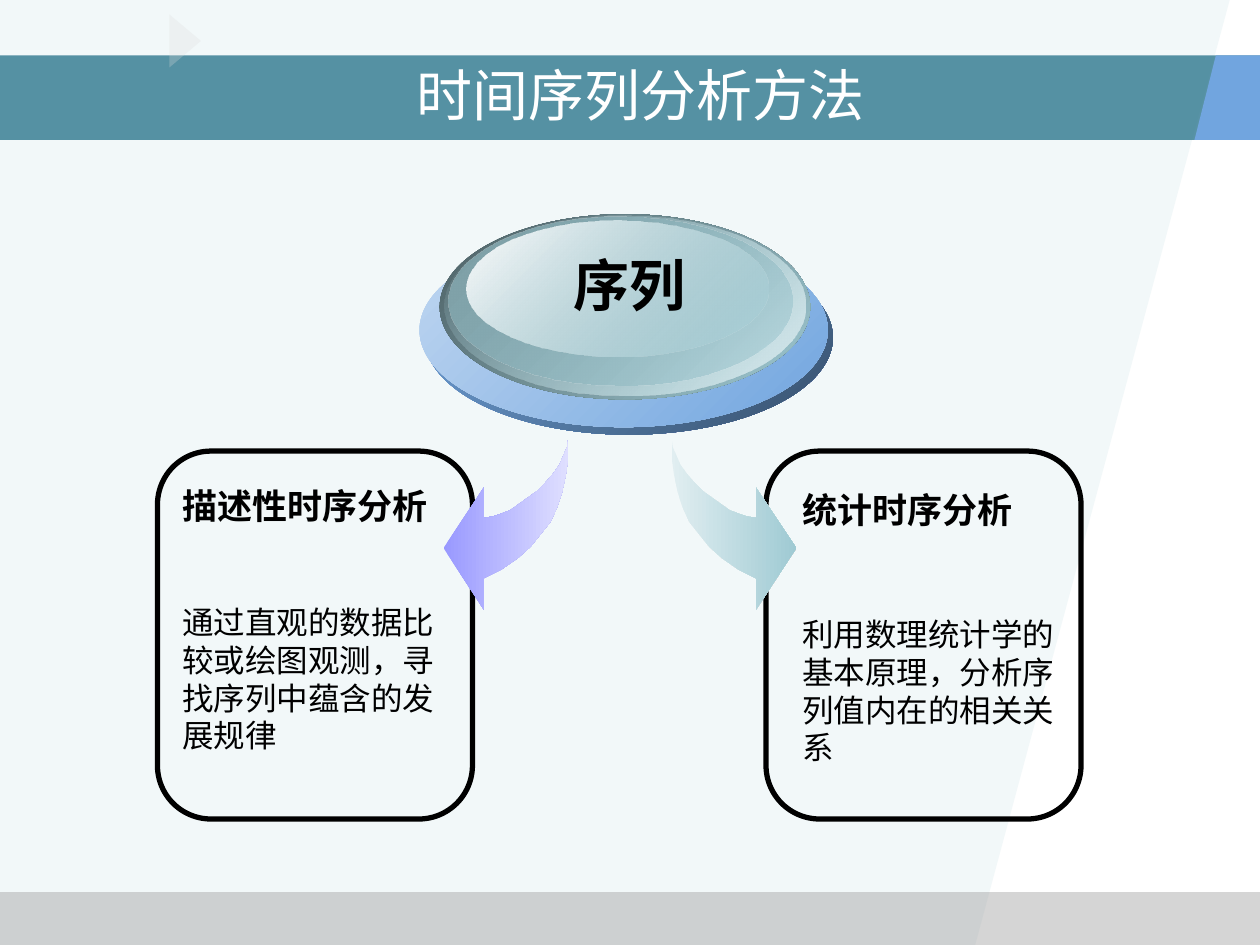
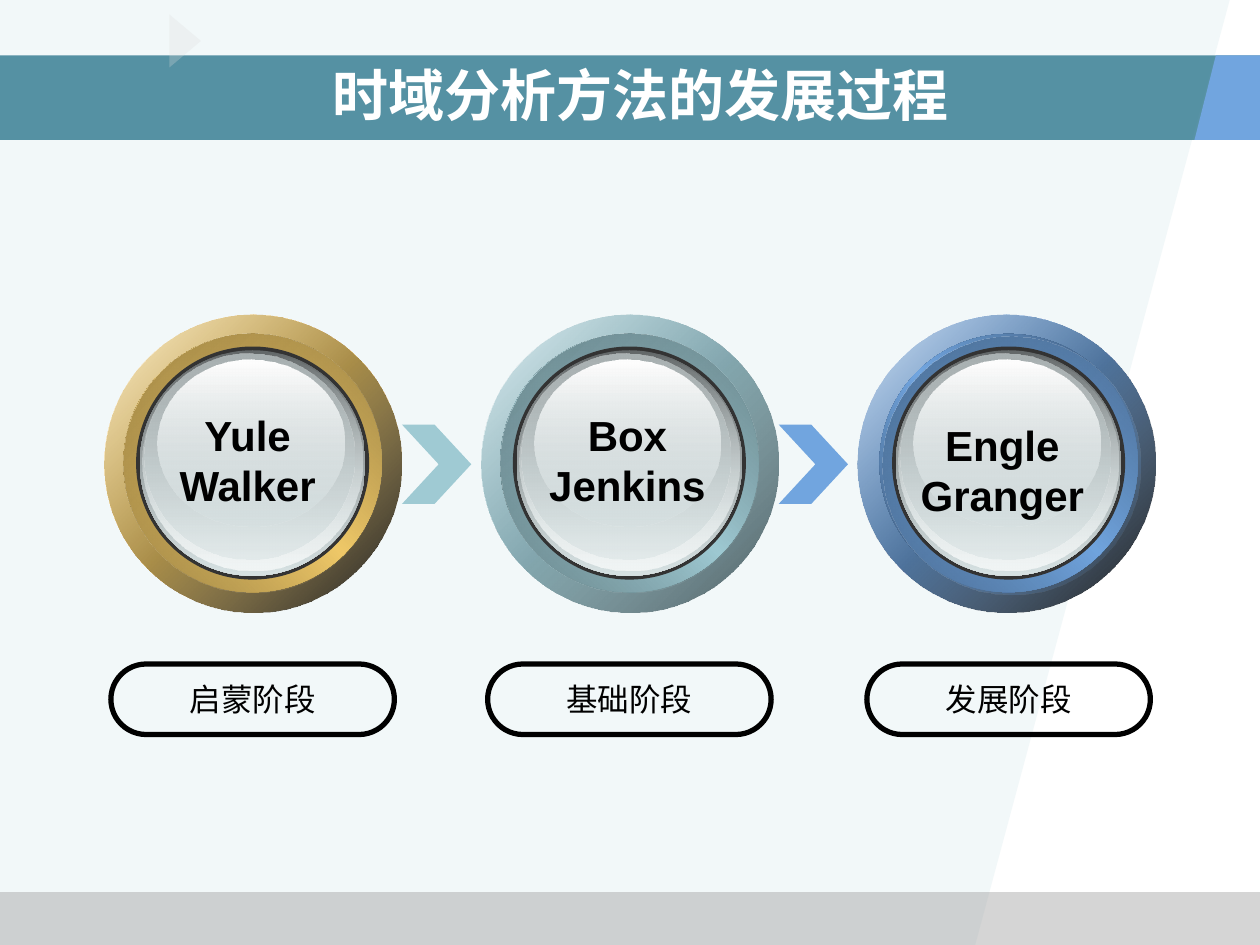
from dataclasses import dataclass
from typing import NamedTuple, Optional

from lxml import etree
from pptx import Presentation
from pptx import util as u
from pptx.dml.color import RGBColor
from pptx.enum import shapes, text
from pptx.oxml.ns import qn

TEAL, BLUE, GOLD = "9FCAD3", "71A5DF", "F1CA69"
BLACK, WHITE, GLASS = "000000", "FFFFFF", "D6E1E2"
OVAL = shapes.MSO_SHAPE.OVAL
CENTER, LEFT = text.PP_ALIGN.CENTER, text.PP_ALIGN.LEFT


class Box(NamedTuple):
    x: float
    y: float
    w: float
    h: float

    def emu(self) -> list:
        return [u.Inches(v) for v in self]


class Stop(NamedTuple):
    color: str
    opacity: int = 100


class Layer(NamedTuple):
    box: Box
    stops: tuple
    angle: int = 45


class Line(NamedTuple):
    text: str
    size: int
    bold: bool = False
    before: float = 0


@dataclass
class Stage:
    names: tuple
    label: Box
    period: str
    color: str
    ring_edge: str
    ring_shade: str
    rim_end: Stop = Stop(BLACK, 90)
    shift: float = 0
    shade_offset: float = 0


def rgb(value: str) -> RGBColor:
    return RGBColor.from_string(value)


def add_alpha(color_element, opacity: int) -> None:
    if opacity < 100:
        etree.SubElement(color_element, qn("a:alpha"), val=str(opacity * 1000))


def paint(sp, stops: tuple, angle: int = 0) -> None:
    """Fill with one colour or with an even gradient; no line, no shadow."""
    sp.shadow.inherit = False
    sp.line.fill.background()
    if len(stops) == 1:
        sp.fill.solid()
        sp.fill.fore_color.rgb = rgb(stops[0].color)
        add_alpha(sp._element.spPr.find(".//" + qn("a:srgbClr")), stops[0].opacity)
        return
    sp.fill.gradient()
    sp.fill.gradient_angle = -angle % 360
    stop_list = sp._element.spPr.find(".//" + qn("a:gsLst"))
    for old in list(stop_list):
        stop_list.remove(old)
    for i, stop in enumerate(stops):
        pos = 100000 * i // (len(stops) - 1)
        gs = etree.SubElement(stop_list, qn("a:gs"), pos=str(pos))
        add_alpha(etree.SubElement(gs, qn("a:srgbClr"), val=stop.color), stop.opacity)


def add_filled(s, kind, box: Box, stops: tuple, angle: int = 0):
    sp = s.shapes.add_shape(kind, *box.emu())
    paint(sp, stops, angle)
    return sp


def add_polygon(s, points: list, stops: tuple, angle: int = 0) -> None:
    start, *rest = [(u.Inches(x), u.Inches(y)) for x, y in points]
    builder = s.shapes.build_freeform(*start)
    builder.add_line_segments(rest, close=True)
    paint(builder.convert_to_shape(), stops, angle)


def add_frame(s, box: Box, corner: float):
    sp = s.shapes.add_shape(shapes.MSO_SHAPE.ROUNDED_RECTANGLE, *box.emu())
    sp.adjustments[0] = corner
    sp.shadow.inherit = False
    sp.fill.background()
    sp.line.color.rgb = rgb(BLACK)
    sp.line.width = u.Pt(3)
    return sp


def write(sp, lines: list, align=CENTER, color: str = BLACK, font: str = "Arial",
          wrap: bool = False, middle: bool = False) -> None:
    tf = sp.text_frame
    tf.word_wrap = wrap
    tf.vertical_anchor = text.MSO_ANCHOR.MIDDLE if middle else text.MSO_ANCHOR.TOP
    for i, line in enumerate(lines):
        p = tf.add_paragraph() if i else tf.paragraphs[0]
        p.text = line.text
        p.alignment = align
        if line.before:
            p.space_before = u.Pt(line.before)
        p.font.name, p.font.size, p.font.bold = font, u.Pt(line.size), line.bold
        p.font.color.rgb = rgb(color)


def add_text(s, box: Box, lines: list, **style) -> None:
    write(s.shapes.add_textbox(*box.emu()), lines, **style)


def new_slide(prs, title: str, bold: bool):
    s = prs.slides.add_slide(prs.slide_layouts[6])
    rect = shapes.MSO_SHAPE.RECTANGLE
    # Slanted panel, footer and title band
    add_polygon(s, [(0, 0), (9.76, 0), (7.74, 7.5), (0, 7.5)], (Stop(TEAL, 13),))
    add_filled(s, rect, Box(0, 7.08, 10, 0.42), (Stop("969696", 40),))
    add_filled(s, rect, Box(0, 0.44, 10, 0.67), (Stop("26728A", 77),))
    add_polygon(s, [(9.65, 0.44), (9.48, 1.11), (10, 1.11), (10, 0.44)], (Stop(BLUE),))
    marker = add_filled(s, shapes.MSO_SHAPE.ISOSCELES_TRIANGLE,
                        Box(1.26, 0.2, 0.42, 0.25), (Stop("DDDDDD", 27),))
    marker.rotation = 90
    add_text(s, Box(0.5, 0.5, 9.17, 0.5), [Line(title, 32, bold)],
             color=WHITE, wrap=True, middle=True)
    return s


# Methods slide
BUTTON = [
    Layer(Box(3.37, 1.91, 3.24, 1.54), (Stop(BLUE), Stop("37506C"))),
    Layer(Box(3.33, 1.85, 3.24, 1.54), (Stop("C0D7F1"), Stop(BLUE))),
    Layer(Box(3.49, 1.7, 2.94, 1.47), (Stop("4A5D62"), Stop(TEAL))),
    Layer(Box(3.53, 1.71, 2.86, 1.43), (Stop(TEAL, 0), Stop("DDEDF0"))),
    Layer(Box(3.56, 1.72, 2.73, 1.34), (Stop("7EA0A7"), Stop(TEAL, 48))),
    Layer(Box(3.7, 1.75, 2.4, 1.08), (Stop(WHITE), Stop(TEAL, 38))),
]
LEFT_ARROW = [
    (4.51, 3.48), (4.51, 3.63), (4.49, 3.77), (4.46, 3.91), (4.42, 4.03), (4.37, 4.14),
    (4.29, 4.24), (4.21, 4.34), (4.11, 4.43), (3.98, 4.52), (3.84, 4.59), (3.84, 4.84),
    (3.52, 4.35), (3.84, 3.87), (3.84, 4.11), (3.91, 4.1), (3.97, 4.08), (4.05, 4.05),
    (4.12, 4), (4.19, 3.95), (4.26, 3.9), (4.33, 3.83), (4.39, 3.76), (4.44, 3.69),
    (4.47, 3.62), (4.5, 3.55),
]
MIRROR_AXIS = 4.92


def methods_slide(prs) -> None:
    s = new_slide(prs, "时间序列分析方法", False)
    for x in (6.08, 1.25):
        add_frame(s, Box(x, 3.58, 2.5, 2.92), 0.17)
    add_text(s, Box(1.35, 3.8, 2.23, 2.24),
             [Line("描述性时序分析", 20, True),
              Line("通过直观的数据比较或绘图观测，寻找序列中蕴含的发展规律", 18, before=43.4)],
             align=LEFT, wrap=True)
    # Arrows mirror each other
    right_arrow = [(2 * MIRROR_AXIS - x, y) for x, y in LEFT_ARROW]
    add_polygon(s, LEFT_ARROW, (Stop("9999FF"), Stop("DFDFFF")))
    add_polygon(s, right_arrow, (Stop("E1EEF1"), Stop(TEAL)))
    # Layered button
    for layer in BUTTON:
        add_filled(s, OVAL, *layer)
    add_text(s, Box(4.45, 1.94, 1.09, 0.64), [Line("序列", 32, True)])
    add_text(s, Box(6.27, 3.83, 2.23, 2.3),
             [Line("统计时序分析", 20, True),
              Line("利用数理统计学的基本原理，分析序列值内在的相关关系", 18, before=48.2)],
             align=LEFT, wrap=True)


# History slide
STAGES = [
    Stage(("Yule", "Walker"), Box(1.32, 3.2, 1.29, 0.9), "启蒙阶段",
          GOLD, "826D39", "998043"),
    Stage(("Box", "Jenkins"), Box(4.26, 3.2, 1.44, 0.9), "基础阶段",
          TEAL, "566D72", "658086", rim_end=Stop("4A5D62")),
    Stage(("Engle", "Granger"), Box(7.16, 3.28, 1.59, 0.9), "发展阶段",
          BLUE, "3D5979", "48698E", shift=0.02, shade_offset=0.02),
]
FIRST_X, TOP, PITCH, RIM = 0.83, 2.5, 2.99, 2.36
# Offsets are measured from the corner of the rim
GLASS_LAYERS = [
    Layer(Box(0.28, 0.28, 1.79, 1.79), (Stop("636869"), Stop(GLASS)), 90),
    Layer(Box(0.3, 0.29, 1.75, 1.74), (Stop(GLASS, 0), Stop("F1F5F5")), 90),
    Layer(Box(0.32, 0.31, 1.66, 1.63), (Stop("AAB2B3"), Stop(GLASS, 48)), 90),
    Layer(Box(0.42, 0.35, 1.48, 1.33), (Stop(WHITE), Stop(GLASS, 38)), 90),
]


def stage_layers(stage: Stage) -> list:
    base = Stop(stage.color)
    rim, ring = Box(0, 0, RIM, RIM), Box(0.15, 0.15, 2.05, 2.05)
    shade = Box(ring.x + stage.shade_offset, ring.y + stage.shade_offset, ring.w, ring.h)
    edge = Stop(stage.ring_edge)
    outer = [Layer(rim, (Stop(WHITE), base, Stop(WHITE))),
             Layer(rim, (Stop(stage.color, 32), stage.rim_end))]
    inner = [Layer(ring, (edge, base, edge), 315),
             Layer(shade, (Stop(stage.ring_shade), Stop(stage.color, 0))),
             Layer(Box(0.25, 0.25, 1.85, 1.85), (Stop("333333"),))]
    shifted = [layer._replace(box=layer.box._replace(x=layer.box.x + stage.shift))
               for layer in inner + GLASS_LAYERS]
    return outer + shifted


def add_stage(s, stage: Stage, x: float, arrow: Optional[str]) -> None:
    if arrow:
        chevron = add_filled(s, shapes.MSO_SHAPE.CHEVRON,
                             Box(x + RIM, 3.37, 0.55, 0.63), (Stop(arrow),))
        chevron.adjustments[0] = 0.53
    for layer in stage_layers(stage):
        box = layer.box
        add_filled(s, OVAL, Box(x + box.x, TOP + box.y, box.w, box.h),
                   layer.stops, layer.angle)
    pill = add_frame(s, Box(x + 0.05 + stage.shift, 5.27, 2.25, 0.56), 0.5)
    write(pill, [Line(stage.period, 18)], font="DejaVu Sans", middle=True)
    add_text(s, stage.label, [Line(name, 24, True) for name in stage.names])


def history_slide(prs) -> None:
    s = new_slide(prs, "时域分析方法的发展过程", True)
    for i, (stage, arrow) in enumerate(zip(STAGES, (TEAL, BLUE, None))):
        add_stage(s, stage, FIRST_X + i * PITCH, arrow)


def main() -> None:
    prs = Presentation()
    prs.slide_width, prs.slide_height = u.Inches(10), u.Inches(7.5)
    methods_slide(prs)
    history_slide(prs)
    prs.save("out.pptx")


if __name__ == "__main__":
    main()
